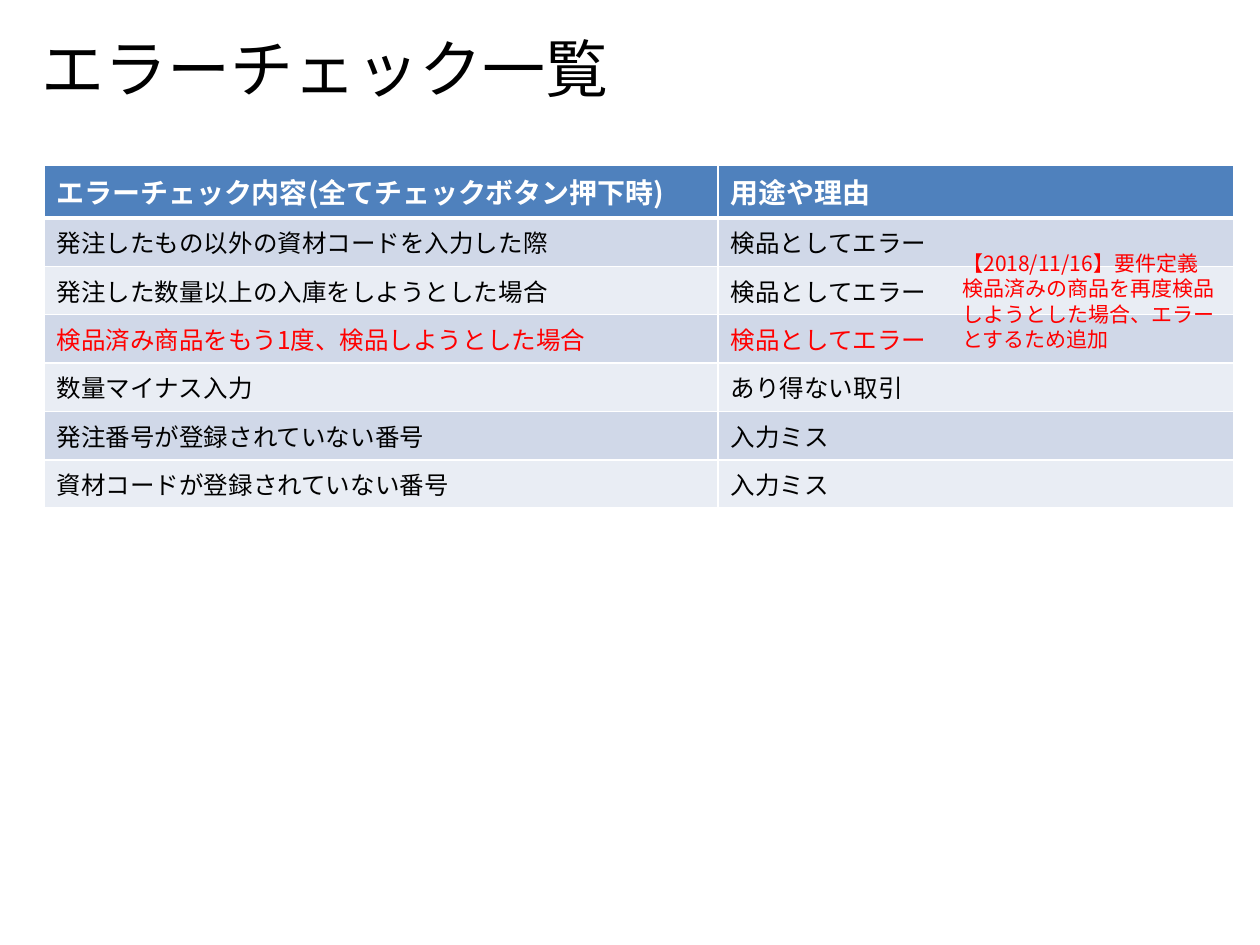
from dataclasses import dataclass

from lxml import etree
from pptx import Presentation
from pptx import util as u
from pptx.dml.color import RGBColor
from pptx.enum import text
from pptx.oxml.ns import qn


@dataclass(frozen=True)
class Theme:
    title_font: str = "Calibri"
    body_font: str = "Noto Sans CJK JP"
    title_size: int = 36
    header_size: int = 16
    body_size: int = 14
    note_size: int = 12
    black: str = "000000"
    white: str = "FFFFFF"
    red: str = "FF0000"
    header_fill: str = "4F81BD"
    bands: tuple = ("D0D8E8", "E9EDF4")
    thin: int = 1
    thick: int = 3


THEME = Theme()
TITLE = "エラーチェック一覧"
COLUMN_WIDTHS = (5.35, 4.09)
ROWS = (
    ("エラーチェック内容(全てチェックボタン押下時)", "用途や理由"),
    ("発注したもの以外の資材コードを入力した際", "検品としてエラー"),
    ("発注した数量以上の入庫をしようとした場合", "検品としてエラー"),
    ("検品済み商品をもう1度、検品しようとした場合", "検品としてエラー"),
    ("数量マイナス入力", "あり得ない取引"),
    ("発注番号が登録されていない番号", "入力ミス"),
    ("資材コードが登録されていない番号", "入力ミス"),
)
ADDED_ROW = 3
NOTE = (
    "【2018/11/16】要件定義\n"
    "検品済みの商品を再度検品しようとした場合、エラーとするため追加"
)


def inches(*lengths):
    return [u.Inches(length) for length in lengths]


def format_text(text_frame, size, color, font_name=THEME.body_font, bold=False):
    for paragraph in text_frame.paragraphs:
        paragraph.alignment = text.PP_ALIGN.LEFT
        for run in paragraph.runs:
            font = run.font
            font.name, font.size, font.bold = font_name, u.Pt(size), bold
            font.color.rgb = RGBColor.from_string(color)
            east_asian = etree.SubElement(font._element, qn("a:ea"))
            east_asian.set("typeface", THEME.body_font)


def set_borders(cell, top, bottom):
    """Draw white cell borders; they must come before the fill in the XML."""
    properties = cell._tc.get_or_add_tcPr()
    widths = {"lnL": THEME.thin, "lnR": THEME.thin, "lnT": top, "lnB": bottom}
    for index, (side, width) in enumerate(widths.items()):
        line = etree.Element(qn(f"a:{side}"), w=str(u.Pt(width)))
        fill = etree.SubElement(line, qn("a:solidFill"))
        etree.SubElement(fill, qn("a:srgbClr"), val=THEME.white)
        properties.insert(index, line)


def format_cell(cell, row):
    is_header = row == 0
    if is_header:
        fill, size, color = THEME.header_fill, THEME.header_size, THEME.white
    else:
        fill, size = THEME.bands[(row - 1) % 2], THEME.body_size
        color = THEME.red if row == ADDED_ROW else THEME.black
    cell.fill.solid()
    cell.fill.fore_color.rgb = RGBColor.from_string(fill)
    format_text(cell.text_frame, size, color, bold=is_header)
    set_borders(
        cell,
        top=THEME.thick if row == 1 else THEME.thin,
        bottom=THEME.thick if is_header else THEME.thin,
    )


def set_title(slide):
    title = slide.shapes.title
    title.left, title.top, title.width, title.height = inches(0.23, 0.14, 9, 0.79)
    title.text_frame.text = TITLE
    title.text_frame.vertical_anchor = text.MSO_ANCHOR.MIDDLE
    format_text(title.text_frame, THEME.title_size, THEME.black, THEME.title_font)


def add_check_table(slide):
    frame = slide.shapes.add_table(
        len(ROWS), len(COLUMN_WIDTHS), *inches(0.35, 1.31, sum(COLUMN_WIDTHS), 2.37)
    )
    table = frame.table
    for column, width in zip(table.columns, COLUMN_WIDTHS):
        column.width = u.Inches(width)
    for row, values in enumerate(ROWS):
        for column, value in enumerate(values):
            cell = table.cell(row, column)
            cell.text_frame.text = value
            format_cell(cell, row)


def add_note(slide):
    note = slide.shapes.add_textbox(*inches(7.54, 1.94, 2.25, 0.91))
    note.text_frame.word_wrap = True
    note.text_frame.auto_size = text.MSO_AUTO_SIZE.SHAPE_TO_FIT_TEXT
    note.text_frame.text = NOTE
    format_text(note.text_frame, THEME.note_size, THEME.red)


def main():
    presentation = Presentation()
    presentation.slide_width, presentation.slide_height = inches(10, 7.5)
    slide = presentation.slides.add_slide(
        presentation.slide_layouts.get_by_name("Title Only")
    )
    set_title(slide)
    add_check_table(slide)
    add_note(slide)
    presentation.save("out.pptx")


if __name__ == "__main__":
    main()
